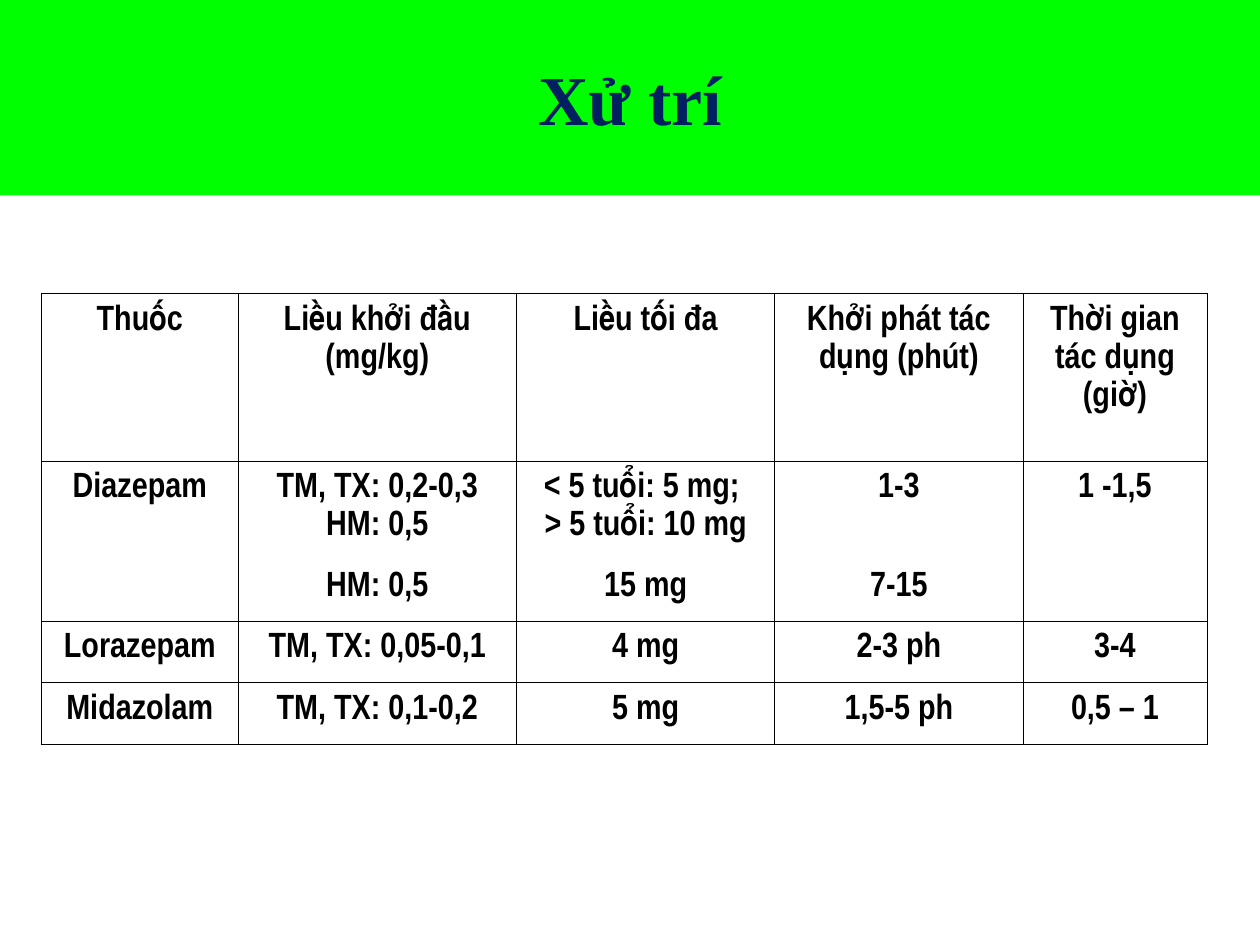
from lxml.etree import SubElement
from pptx import Presentation
from pptx.dml.color import RGBColor
from pptx.enum.text import MSO_ANCHOR, PP_ALIGN
from pptx.oxml.ns import qn
from pptx.util import Inches, Pt

GREEN = RGBColor(0x00, 0xFF, 0x00)
NAVY = RGBColor(0x00, 0x20, 0x60)
BLACK = RGBColor(0x00, 0x00, 0x00)

TITLE_FONT = {"name": "Times New Roman", "size": Pt(40), "bold": True}
CELL_FONT = {"name": "Arial Narrow", "size": Pt(20), "bold": True}
CELL_MARGINS = {
    "margin_left": Inches(0.08),
    "margin_right": Inches(0.08),
    "margin_top": Inches(0.05),
    "margin_bottom": Inches(0.05),
}
BORDER_WIDTH = Pt(0.45)

COLS = [1.56, 2.21, 2.05, 1.97, 1.46]
ROWS = [1.33, 0.78, 0.49, 0.49, 0.49]
DRUGS = [
    ["Thuốc", "Liều khởi đầu (mg/kg)", "Liều tối đa",
     "Khởi phát tác dụng (phút)", "Thời gian tác dụng\n(giờ)"],
    ["Diazepam", "TM, TX: 0,2-0,3\nHM: 0,5",
     "< 5 tuổi: 5 mg; \n> 5 tuổi: 10 mg", "1-3", "1 -1,5"],
    ["", "HM: 0,5", "15 mg", "7-15", ""],
    ["Lorazepam", "TM, TX: 0,05-0,1", "4 mg", "2-3 ph", "3-4"],
    ["Midazolam", "TM, TX: 0,1-0,2", "5 mg", "1,5-5 ph", "0,5 – 1"],
]
OPEN_SIDES = {1: "B", 2: "T"}


def apply_format(obj, values):
    for name, value in values.items():
        setattr(obj, name, value)


def write_text(tf, text, font, color, line_spacing=None):
    tf.text = text
    for p in tf.paragraphs:
        p.alignment = PP_ALIGN.CENTER
        p.line_spacing = line_spacing
        for r in p.runs:
            apply_format(r.font, font)
            r.font.color.rgb = color


def add_title(prs, s, text):
    sp = s.shapes.title
    apply_format(sp, {"left": 0, "top": 0, "width": prs.slide_width,
                      "height": Inches(1.55)})
    sp.fill.solid()
    sp.fill.fore_color.rgb = GREEN
    sp.text_frame.vertical_anchor = MSO_ANCHOR.MIDDLE
    write_text(sp.text_frame, text, TITLE_FONT, NAVY)


def set_borders(cell, open_side):
    tc_pr = cell._tc.get_or_add_tcPr()
    for side in "LRTB":
        ln = SubElement(tc_pr, qn(f"a:ln{side}"), w=str(BORDER_WIDTH))
        if side == open_side:
            SubElement(ln, qn("a:noFill"))
        else:
            fill = SubElement(ln, qn("a:solidFill"))
            SubElement(fill, qn("a:srgbClr"), val=str(BLACK))


def add_drug_table(s):
    frame = s.shapes.add_table(len(ROWS), len(COLS), Inches(0.33), Inches(2.33),
                               Inches(sum(COLS)), Inches(sum(ROWS)))
    table = frame.table
    apply_format(table, {"first_row": False, "horz_banding": False})
    for col, width in zip(table.columns, COLS):
        col.width = Inches(width)
    for i, (row, height) in enumerate(zip(table.rows, ROWS)):
        row.height = Inches(height)
        for cell, text in zip(row.cells, DRUGS[i]):
            apply_format(cell, CELL_MARGINS)
            set_borders(cell, OPEN_SIDES.get(i))
            cell.fill.background()
            if text:
                write_text(cell.text_frame, text, CELL_FONT, BLACK, 1.15)


def main():
    prs = Presentation()
    prs.slide_width, prs.slide_height = Inches(10), Inches(7.5)
    s = prs.slides.add_slide(prs.slide_layouts[5])
    add_title(prs, s, "Xử trí")
    add_drug_table(s)
    prs.save("out.pptx")


if __name__ == "__main__":
    main()
